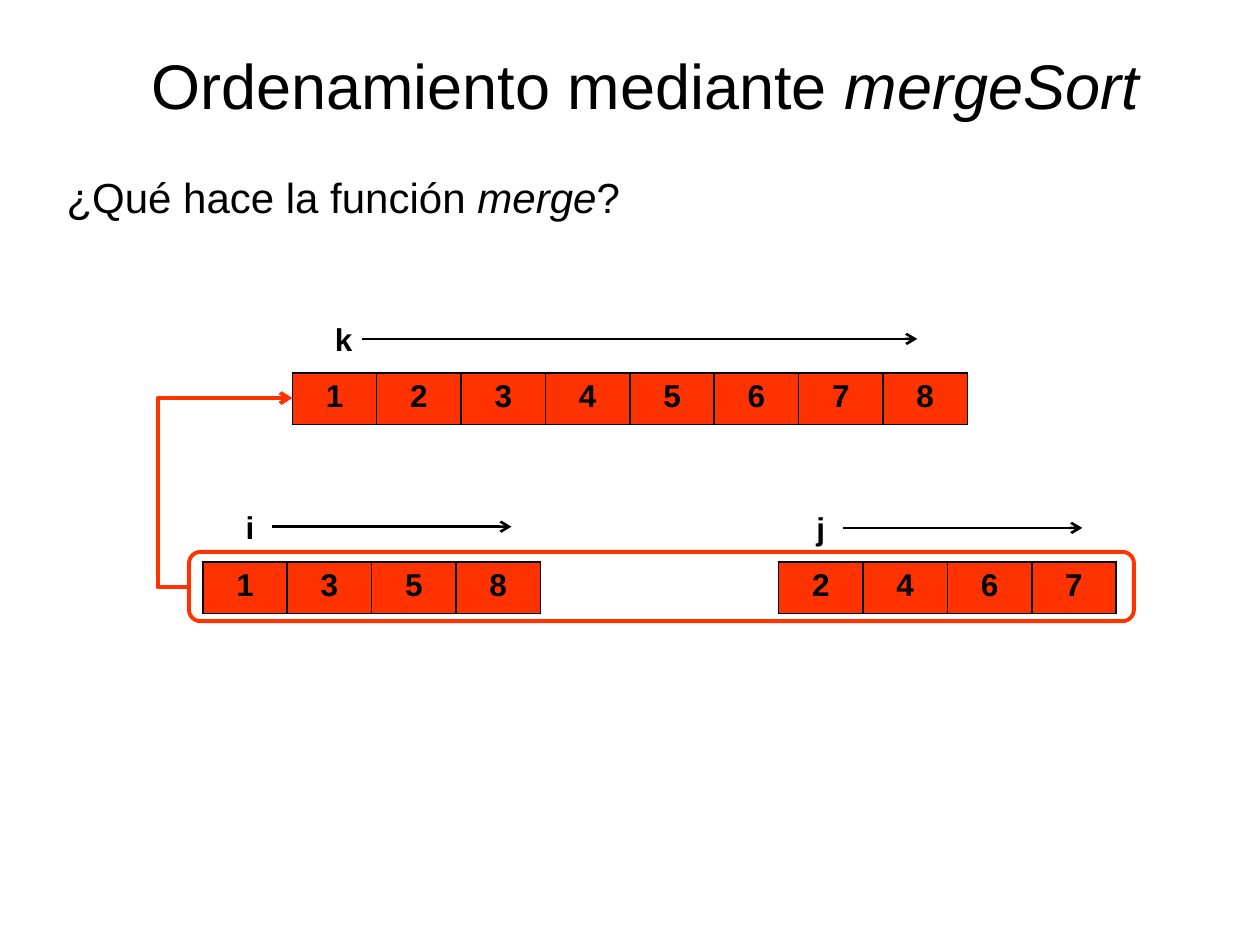
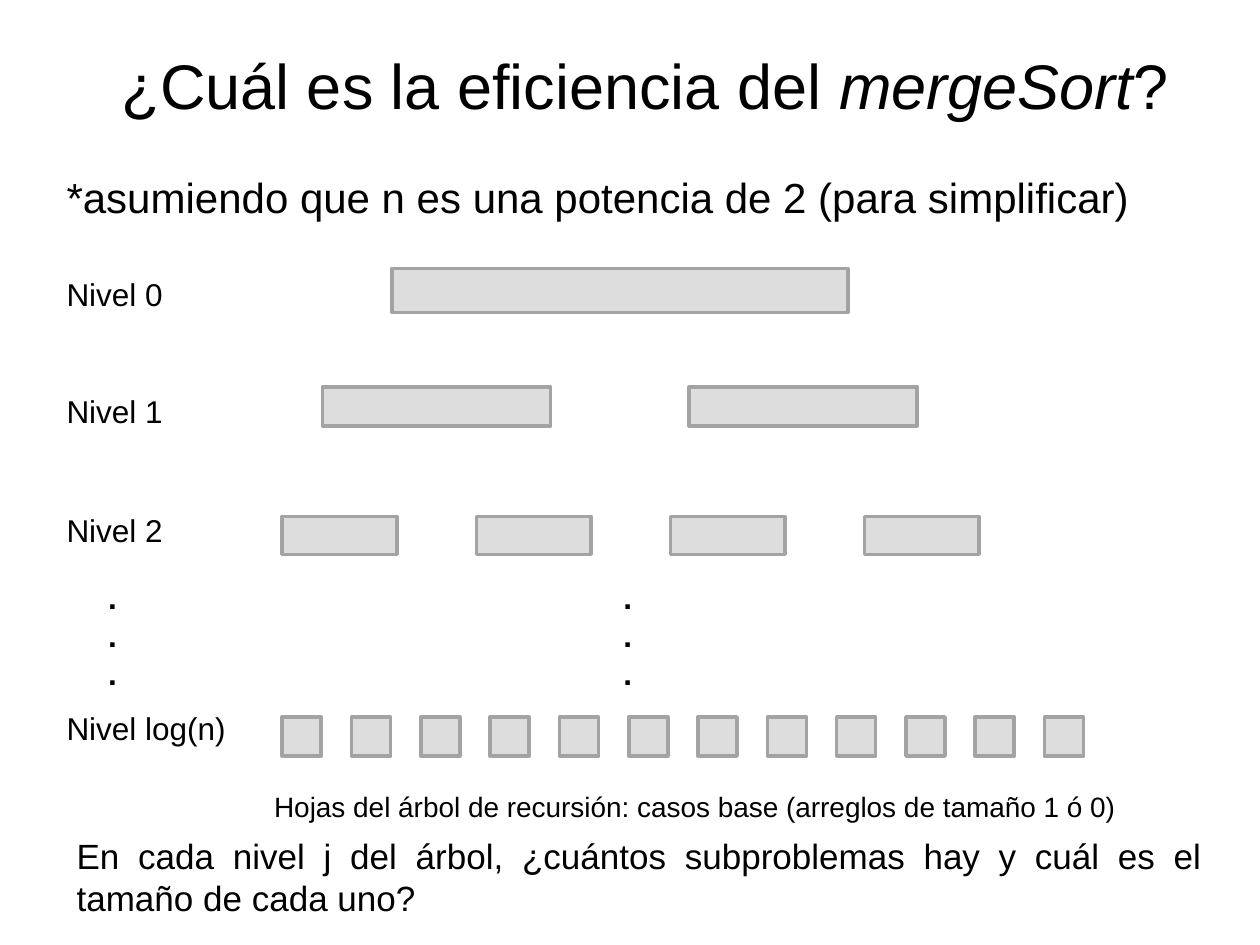
from dataclasses import dataclass

from lxml.etree import SubElement
from pptx import Presentation
from pptx.dml.color import RGBColor
from pptx.enum.shapes import MSO_CONNECTOR, MSO_SHAPE
from pptx.enum.text import MSO_ANCHOR, MSO_AUTO_SIZE, PP_ALIGN
from pptx.oxml.ns import qn
from pptx.util import Inches, Pt


@dataclass(frozen=True)
class Theme:
    font: str = "Arial"
    ink: str = "000000"
    accent: str = "FF3300"
    block: str = "DDDDDD"
    block_edge: str = "A3A3A3"
    title: int = 36
    lead: int = 24
    question: int = 20
    label: int = 18
    caption: int = 16
    arrow_width: float = 1.5
    frame_width: float = 2.25
    block_width: float = 2
    cell_width: float = 1


THEME = Theme()


@dataclass(frozen=True)
class Box:
    left: float
    top: float
    width: float
    height: float

    def lengths(self) -> tuple:
        return tuple(Inches(v) for v in (self.left, self.top, self.width, self.height))


@dataclass(frozen=True)
class IndexedArray:
    index: str
    values: str
    left: float
    top: float
    index_left: float
    index_top: float
    arrow_length: float


@dataclass(frozen=True)
class Level:
    label: str
    label_top: float
    count: int
    pitch: float
    first: Box


TITLE_BOX = Box(0.83, 0.21, 8.58, 0.81)
LEAD_BOX = Box(0.43, 1.31, 9.14, 0.47)
CELL_WIDTH, CELL_HEIGHT = 0.67, 0.41
INDEX_WIDTH, LABEL_HEIGHT = 0.31, 0.4

ARRAYS = [
    IndexedArray("i", "1358", 1.61, 4.46, 1.85, 3.98, 1.9),
    IndexedArray("j", "2467", 6.18, 4.46, 6.38, 3.99, 1.9),
    IndexedArray("k", "12345678", 2.32, 2.96, 2.56, 2.49, 4.41),
]

LEVELS = [
    Level("Nivel 0", 2.13, 1, 0, Box(3.11, 2.13, 3.62, 0.35)),
    Level("Nivel 1", 3.06, 2, 2.91, Box(2.56, 3.07, 1.81, 0.31)),
    Level("Nivel 2", 4.01, 4, 1.54, Box(2.24, 4.1, 0.91, 0.3)),
    Level("Nivel log(n)", 5.58, 12, 0.55, Box(2.24, 5.69, 0.31, 0.31)),
]


def color(value: str) -> RGBColor:
    return RGBColor.from_string(value)


def format_text(tf, size: float, align=PP_ALIGN.LEFT, bold: bool = False) -> None:
    tf.word_wrap = True
    tf.auto_size = MSO_AUTO_SIZE.NONE
    for p in tf.paragraphs:
        p.alignment = align
        for r in p.runs:
            r.font.name = THEME.font
            r.font.size = Pt(size)
            r.font.bold = bold
            r.font.color.rgb = color(THEME.ink)


def add_text(s, box: Box, text: str, size: float, align=PP_ALIGN.LEFT, bold: bool = False) -> None:
    tf = s.shapes.add_textbox(*box.lengths()).text_frame
    tf.text = text
    format_text(tf, size, align, bold)


def fill_mixed(tf, parts: list[str], size: float, align) -> None:
    p = tf.paragraphs[0]
    for n, part in enumerate(parts):
        r = p.add_run()
        r.text = part
        r.font.italic = n % 2 == 1
    format_text(tf, size, align)


def start_slide(prs, title: list[str], lead: list[str]):
    s = prs.slides.add_slide(prs.slide_layouts[5])
    sp = s.shapes.title
    sp.left, sp.top, sp.width, sp.height = TITLE_BOX.lengths()
    sp.text_frame.vertical_anchor = MSO_ANCHOR.BOTTOM
    fill_mixed(sp.text_frame, title, THEME.title, PP_ALIGN.CENTER)
    lead_tf = s.shapes.add_textbox(*LEAD_BOX.lengths()).text_frame
    fill_mixed(lead_tf, lead, THEME.lead, PP_ALIGN.JUSTIFY)
    return s


def add_arrow(s, kind, start: tuple[float, float], end: tuple[float, float], ink: str, width: float):
    points = [Inches(v) for v in (*start, *end)]
    cxn = s.shapes.add_connector(kind, *points)
    cxn.line.color.rgb = color(ink)
    cxn.line.width = Pt(width)
    SubElement(cxn.line._get_or_add_ln(), qn("a:tailEnd"), type="arrow")
    SubElement(cxn._element.spPr, qn("a:effectLst"))
    return cxn


def add_borders(cell) -> None:
    tc_pr = cell._tc.get_or_add_tcPr()
    for n, side in enumerate(("a:lnL", "a:lnR", "a:lnT", "a:lnB")):
        ln = tc_pr.makeelement(qn(side), {"w": str(Pt(THEME.cell_width))})
        fill = SubElement(ln, qn("a:solidFill"))
        SubElement(fill, qn("a:srgbClr"), val=THEME.ink)
        tc_pr.insert(n, ln)


def add_array(s, array: IndexedArray) -> None:
    count = len(array.values)
    box = Box(array.left, array.top, CELL_WIDTH * count, CELL_HEIGHT)
    table = s.shapes.add_table(1, count, *box.lengths()).table
    table.first_row = table.horz_banding = False
    for column, value in enumerate(array.values):
        table.columns[column].width = Inches(CELL_WIDTH)
        cell = table.cell(0, column)
        cell.text_frame.text = value
        format_text(cell.text_frame, THEME.label, PP_ALIGN.CENTER, bold=True)
        cell.fill.solid()
        cell.fill.fore_color.rgb = color(THEME.accent)
        add_borders(cell)

    index_box = Box(array.index_left, array.index_top, INDEX_WIDTH, LABEL_HEIGHT)
    add_text(s, index_box, array.index, THEME.label, bold=True)
    x = array.index_left + INDEX_WIDTH
    y = array.index_top + LABEL_HEIGHT / 2
    add_arrow(s, MSO_CONNECTOR.STRAIGHT, (x, y), (x + array.arrow_length, y),
              THEME.ink, THEME.arrow_width)


def add_block(s, shape, box: Box, edge: str, width: float, fill: str = ""):
    sp = s.shapes.add_shape(shape, *box.lengths())
    sp.shadow.inherit = False
    sp.line.color.rgb = color(edge)
    sp.line.width = Pt(width)
    if fill:
        sp.fill.solid()
        sp.fill.fore_color.rgb = color(fill)
    else:
        sp.fill.background()
    return sp


def add_level(s, level: Level) -> None:
    add_text(s, Box(0.43, level.label_top, 1.57, LABEL_HEIGHT), level.label, THEME.label)
    first = level.first
    for n in range(level.count):
        box = Box(first.left + n * level.pitch, first.top, first.width, first.height)
        add_block(s, MSO_SHAPE.RECTANGLE, box, THEME.block_edge, THEME.block_width, THEME.block)


def build_merge_slide(prs) -> None:
    s = start_slide(prs, ["Ordenamiento mediante ", "mergeSort"],
                    ["¿Qué hace la función ", "merge", "?"])
    for array in ARRAYS:
        add_array(s, array)
    add_block(s, MSO_SHAPE.ROUNDED_RECTANGLE, Box(1.5, 4.38, 7.5, 0.55),
              THEME.accent, THEME.frame_width)
    elbow = add_arrow(s, MSO_CONNECTOR.ELBOW, (1.5, 4.66), (2.32, 3.16),
                      THEME.accent, THEME.frame_width)
    guides = elbow._element.spPr.find(qn("a:prstGeom")).get_or_add_avLst()
    SubElement(guides, qn("a:gd"), name="adj1", fmla="val -30400")


def build_efficiency_slide(prs) -> None:
    s = start_slide(prs, ["¿Cuál es la eficiencia del ", "mergeSort", "?"],
                    ["*asumiendo que n es una potencia de 2 (para simplificar)"])
    for level in LEVELS:
        add_level(s, level)
    for left in (0.76, 4.85):
        add_text(s, Box(left, 4.54, 0.23, 1.01), ".\n.\n.", THEME.label, bold=True)
    add_text(s, Box(1.93, 6.22, 7.17, 0.37),
             "Hojas del árbol de recursión: casos base (arreglos de tamaño 1 ó 0)",
             THEME.caption, PP_ALIGN.CENTER)
    add_text(s, Box(0.51, 6.57, 9.13, 0.76),
             "En cada nivel j del árbol, ¿cuántos subproblemas hay y cuál es el tamaño de cada uno?",
             THEME.question, PP_ALIGN.JUSTIFY)


def main() -> None:
    prs = Presentation()
    prs.slide_width, prs.slide_height = Inches(10), Inches(7.5)
    build_merge_slide(prs)
    build_efficiency_slide(prs)
    prs.save("out.pptx")


if __name__ == "__main__":
    main()
